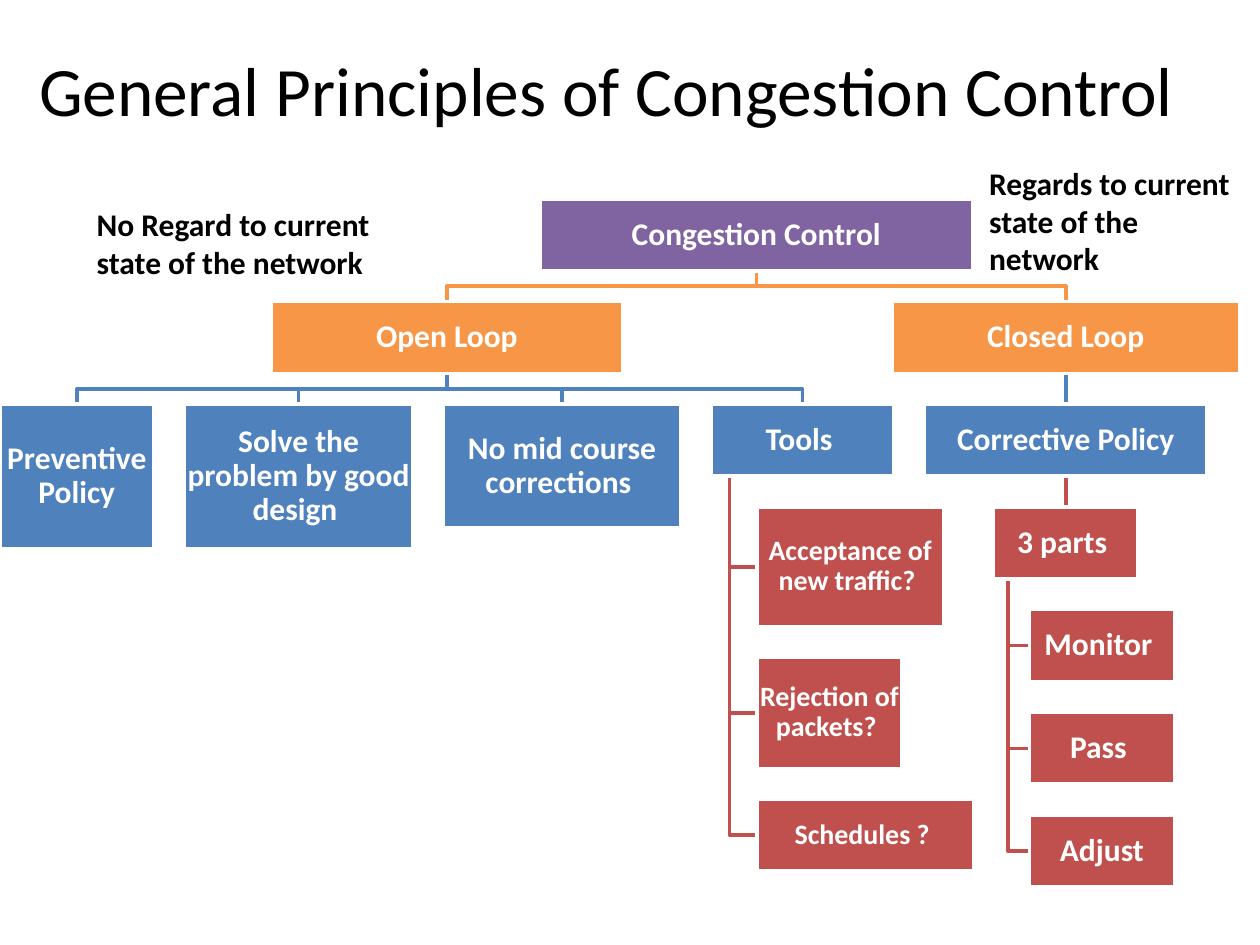
from dataclasses import dataclass

from lxml import etree
from pptx import Presentation
from pptx.dml.color import RGBColor
from pptx.enum.shapes import MSO_CONNECTOR, MSO_SHAPE
from pptx.enum.text import MSO_ANCHOR, MSO_AUTO_SIZE, PP_ALIGN
from pptx.oxml.ns import qn
from pptx.util import Cm, Pt

RECTANGLE = MSO_SHAPE.RECTANGLE
STRAIGHT = MSO_CONNECTOR.STRAIGHT
MIDDLE = MSO_ANCHOR.MIDDLE
CENTER = PP_ALIGN.CENTER
LEFT = PP_ALIGN.LEFT
GROW = MSO_AUTO_SIZE.SHAPE_TO_FIT_TEXT
NO_FIT = MSO_AUTO_SIZE.NONE
TOP_SIDE, BOTTOM_SIDE = 0, 2


@dataclass(frozen=True)
class Theme:
    font: str = "Calibri"
    black: str = "000000"
    white: str = "FFFFFF"
    purple: str = "8064A2"
    orange: str = "F79646"
    blue: str = "4F81BD"
    red: str = "C0504D"
    title_size: float = 39.6
    text_size: float = 18
    small_size: float = 16
    line_width: float = 2


class ChartPage:
    first_top = Cm(4.01)
    box_height = Cm(1.45)
    gap = Cm(0.62)

    def __init__(self, deck, theme):
        self.theme = theme
        self.page = deck.slides.add_slide(deck.slide_layouts[5])
        self.last_line = self.page.shapes.title._element

    def row_top(self, row):
        return self.first_top + row * (self.box_height + self.gap)

    def add_text(self, frame, text, size, color, align, bold=True):
        frame.word_wrap = True
        para = frame.paragraphs[0]
        para.alignment = align
        span = para.add_run()
        span.text = text
        span.font.name = self.theme.font
        span.font.size = Pt(size)
        span.font.bold = bold
        span.font.color.rgb = RGBColor.from_string(color)
        return para

    def title(self, text, left, top, width, height):
        title = self.page.shapes.title
        title.left, title.top, title.width, title.height = left, top, width, height
        title.text_frame.auto_size = NO_FIT
        title.text_frame.vertical_anchor = MIDDLE
        self.add_text(title.text_frame, text, self.theme.title_size,
                      self.theme.black, CENTER, bold=False)

    def note(self, text, left, top, width, height):
        frame = self.page.shapes.add_textbox(left, top, width, height).text_frame
        self.add_text(frame, text, self.theme.text_size, self.theme.black, LEFT)
        frame.auto_size = GROW

    def box(self, text, color, left, top, width, height=box_height, size=None):
        box = self.page.shapes.add_shape(RECTANGLE, left, top, width, height)
        box.shadow.inherit = False
        box.fill.solid()
        box.fill.fore_color.rgb = RGBColor.from_string(color)
        self.style_line(box.line, self.theme.white)
        frame = box.text_frame
        frame.vertical_anchor = MIDDLE
        frame.margin_left = frame.margin_right = Cm(0.03)
        frame.margin_top = frame.margin_bottom = Cm(0.03)
        para = self.add_text(frame, text, size or self.theme.text_size,
                             self.theme.white, CENTER)
        para.line_spacing = 0.9
        return box

    def box_over(self, text, color, row, width, center):
        return self.box(text, color, center - width // 2, self.row_top(row), width)

    def hanging_boxes(self, parent, items, size=None):
        left = parent.left + parent.width // 4
        top = parent.top + parent.height + self.gap
        for text, width, height in items:
            child = self.box(text, self.theme.red, left, top, width, height, size)
            self.hanging_line(parent, child)
            top += height + self.gap

    def style_line(self, line, color):
        line.color.rgb = RGBColor.from_string(color)
        line.width = Pt(self.theme.line_width)

    def place_behind(self, shape):
        self.last_line.addnext(shape._element)
        self.last_line = shape._element

    def bent_line(self, points, color):
        builder = self.page.shapes.build_freeform(*points[0])
        builder.add_line_segments(points[1:], close=False)
        line = builder.convert_to_shape()
        line.shadow.inherit = False
        line.fill.background()
        self.style_line(line.line, color)
        self.place_behind(line)

    def branch_line(self, parent, child):
        start_x, end_x = middle(parent), middle(child)
        start_y = parent.top + parent.height
        turn_y = (start_y + child.top) // 2
        points = [(start_x, start_y), (start_x, turn_y), (end_x, turn_y), (end_x, child.top)]
        self.bent_line(points, str(child.fill.fore_color.rgb))

    def hanging_line(self, parent, child):
        x = parent.left + parent.width // 10
        y = child.top + child.height // 2
        points = [(x, parent.top + parent.height), (x, y), (child.left, y)]
        self.bent_line(points, str(child.fill.fore_color.rgb))

    def straight_line(self, parent, child):
        line = self.page.shapes.add_connector(STRAIGHT, 0, 0, 0, 0)
        line.begin_connect(parent, BOTTOM_SIDE)
        line.end_connect(child, TOP_SIDE)
        self.style_line(line.line, str(child.fill.fore_color.rgb))
        etree.SubElement(line._element.spPr, qn("a:effectLst"))
        self.place_behind(line)


def middle(box):
    return box.left + box.width // 2


def main():
    theme = Theme()
    deck = Presentation()
    deck.slide_width, deck.slide_height = Cm(25.4), Cm(19.05)
    chart = ChartPage(deck, theme)
    chart.title("General Principles of Congestion Control ",
                Cm(0), Cm(0.2), Cm(24.77), Cm(3.18))

    policies = []
    left = 0
    for text, width, height in [
        ("Preventive Policy", 3.1, 2.92),
        ("Solve the problem by good design ", 4.6, 2.92),
        ("No mid course corrections ", 4.78, 2.49),
        ("Tools ", 3.68, 1.45),
        ("Corrective Policy", 5.69, 1.45),
    ]:
        policies.append(chart.box(text, theme.blue, left, chart.row_top(2),
                                  Cm(width), Cm(height)))
        left += Cm(width) + chart.gap
    *open_policies, corrective = policies
    tools = open_policies[-1]

    open_center = (tools.left + tools.width) // 2
    closed_center = middle(corrective)
    open_loop = chart.box_over("Open Loop", theme.orange, 1, Cm(7.09), open_center)
    closed_loop = chart.box_over("Closed Loop", theme.orange, 1, Cm(7.01), closed_center)
    root = chart.box_over("Congestion Control", theme.purple, 0, Cm(8.71),
                          (open_center + closed_center) // 2)
    parts = chart.box_over("3 parts ", theme.red, 3, Cm(2.92), closed_center)

    for loop in (open_loop, closed_loop):
        chart.branch_line(root, loop)
    for policy in open_policies:
        chart.branch_line(open_loop, policy)
    chart.straight_line(closed_loop, corrective)
    chart.straight_line(corrective, parts)

    chart.hanging_boxes(tools, [
        ("Acceptance of new traffic? ", Cm(3.76), Cm(2.41)),
        ("Rejection of packets? ", Cm(2.92), Cm(2.24)),
        ("Schedules ? ", Cm(4.37), chart.box_height),
    ], theme.small_size)
    chart.hanging_boxes(parts, [
        (text, parts.width, chart.box_height) for text in ("Monitor ", "Pass ", "Adjust")
    ])

    chart.note("No Regard to current state of the network",
               Cm(1.7), Cm(4.01), Cm(6.55), Cm(1.8))
    chart.note("Regards to current state of the network",
               Cm(19.69), Cm(3.18), Cm(5.51), Cm(2.57))
    deck.save("out.pptx")


if __name__ == "__main__":
    main()
